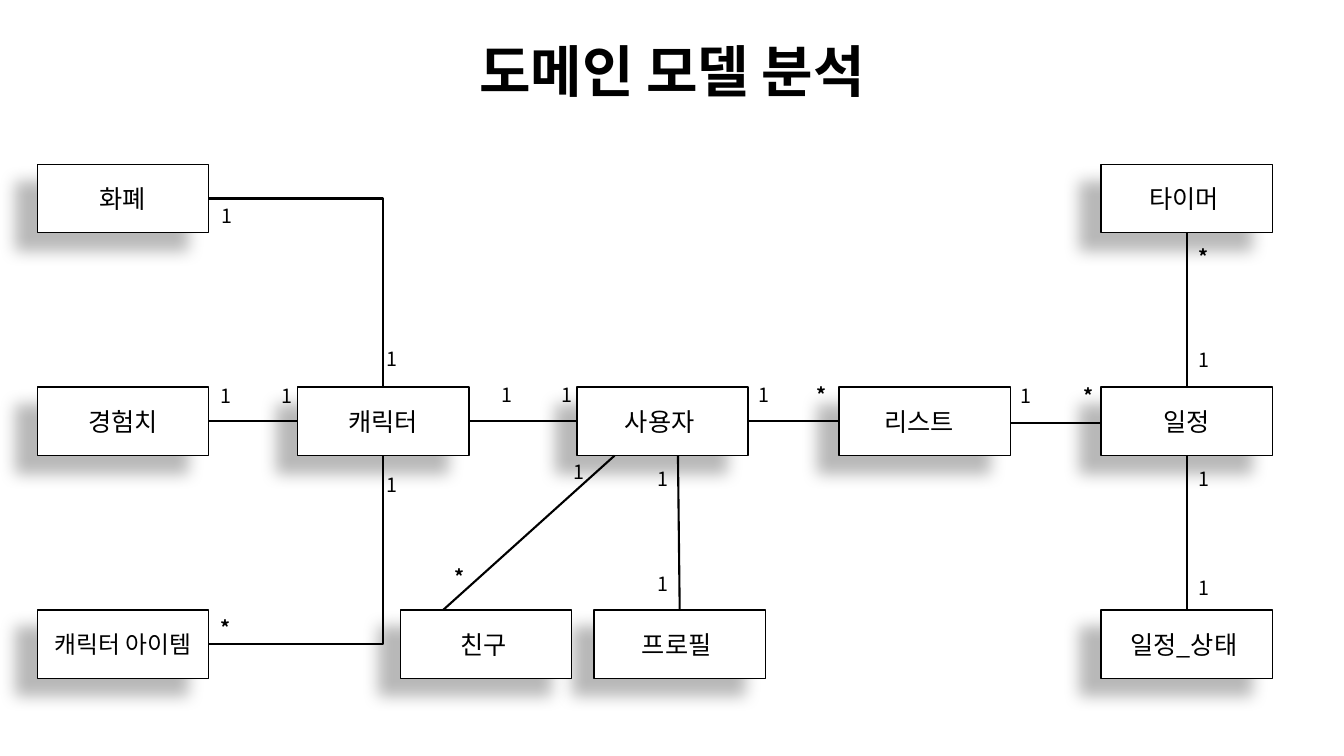
from lxml.etree import SubElement
from pptx import Presentation
from pptx.dml.color import RGBColor
from pptx.enum.shapes import MSO_CONNECTOR as Connector, MSO_SHAPE as Shape
from pptx.enum.text import MSO_ANCHOR as Anchor, MSO_AUTO_SIZE as AutoSize, PP_ALIGN as Align
from pptx.oxml.ns import qn
from pptx.util import Inches, Pt

COLORS = {"ink": "000000", "paper": "FFFFFF"}
FONT = "Noto Sans CJK KR"
TITLE_BOX = (0.32, 0.31, 12.69, 0.77)
DIAGRAM_BOX = (0.37, 1.63, 12.25, 5.1)
COLUMNS, ROWS, ROW_STEP = 7.21, 7.5, 3.25
SPACE_WIDTH = 4

ENTITIES = {
    "캐릭터": (1.52, 1, 18, 0),
    "프로필": (3.25, 2, 18, 1),
    "사용자": (3.15, 1, 18, 1),
    "리스트": (4.68, 1, 18, 2),
    "화폐": (0, 0, 18, 0),
    "경험치": (0, 1, 18, 0),
    "캐릭터 아이템": (0, 2, 17, 0),
    "일정": (6.21, 1, 18, 0),
    "타이머": (6.21, 0, 18, 1),
    "일정_상태": (6.21, 2, 18, 1),
    "친구": (2.12, 2, 18, 1),
}

LEFT, RIGHT, TOP, BOTTOM = (0, 0.5), (1, 0.5), (0.5, 0), (0.5, 1)

RELATIONS = [
    (("화폐", RIGHT, "1", (1.02, 0.5)), ("캐릭터", TOP, "1", (0.46, -0.66))),
    (("경험치", RIGHT, "1", (1.01, -0.12)), ("캐릭터", LEFT, "1", (-0.15, -0.12))),
    (("캐릭터 아이템", RIGHT, "*", (1.01, 0.01)), ("캐릭터", BOTTOM, "1", (0.46, 1.18))),
    (("캐릭터", RIGHT, "1", (1.13, -0.13)), ("사용자", LEFT, "1", (-0.15, -0.13))),
    (("사용자", RIGHT, "1", (1, -0.13)), ("리스트", LEFT, "*", (-0.19, -0.13))),
    (("리스트", (1, 0.53), "1", (1, -0.12)), ("일정", (0, 0.53), "*", (-0.16, -0.12))),
    (("일정", TOP, "1", (0.51, -0.65)), ("타이머", BOTTOM, "*", (0.51, 1.1))),
    (("일정", BOTTOM, "1", (0.51, 1.09)), ("일정_상태", TOP, "1", (0.51, -0.57))),
    (("사용자", (0.59, 1), "1", (0.41, 1.09)), ("프로필", TOP, "1", (0.31, -0.63))),
    (("사용자", (0.22, 1), "1", (-0.08, 0.99)), ("친구", (0.25, 0), "*", (0.26, -0.72))),
]


def color(name):
    return RGBColor.from_string(COLORS[name])


def inches(values):
    return [Inches(value) for value in values]


def point_on(box, share):
    left, top, width, height = box
    return left + share[0] * width, top + share[1] * height


def write(frame, text, size, align, bold=False):
    paragraph = frame.paragraphs[0]
    paragraph.alignment = align
    run = paragraph.add_run()
    run.text = text
    run.font.size, run.font.bold, run.font.name = Pt(size), bold, FONT
    run.font.color.rgb = color("ink")
    SubElement(run.font._element, qn("a:ea"), typeface=FONT)


def add_title(slide, box):
    title = slide.shapes.title
    title.left, title.top, title.width, title.height = inches(box)
    frame = title.text_frame
    frame.word_wrap = True
    frame.auto_size = AutoSize.SHAPE_TO_FIT_TEXT
    frame.vertical_anchor = Anchor.TOP
    write(frame, "도메인 모델 분석", 40, Align.CENTER, True)


def add_entity(slide, box, name, size, trailing_spaces):
    shape = slide.shapes.add_shape(Shape.RECTANGLE, *inches(box))
    shape.fill.solid()
    shape.fill.fore_color.rgb = color("paper")
    shape.line.color.rgb = color("ink")
    shape.line.width = Pt(1)
    shape.shadow.inherit = False
    effects = shape._element.spPr.find(qn("a:effectLst"))
    shadow = SubElement(effects, qn("a:outerShdw"), blurRad=str(Pt(11.8)),
                        dist=str(Pt(19.7)), dir=str(141 * 60000), rotWithShape="0")
    shade = SubElement(shadow, qn("a:srgbClr"), val=COLORS["ink"])
    SubElement(shade, qn("a:alpha"), val="28000")
    frame = shape.text_frame
    frame.word_wrap = True
    frame.vertical_anchor = Anchor.MIDDLE
    frame.margin_right = Inches(0.1) + Pt(SPACE_WIDTH * trailing_spaces)
    write(frame, name, size, Align.CENTER)


def add_relation(slide, start, end):
    bent = start[0] != end[0] and start[1] != end[1] and start[0] < 3
    kind = Connector.ELBOW if bent else Connector.STRAIGHT
    connector = slide.shapes.add_connector(kind, *inches(start + end))
    connector.line.color.rgb = color("ink")
    connector.line.width = Pt(1.5)
    properties = connector._element.spPr
    if bent:
        properties.find(qn("a:prstGeom")).set("prst", "bentConnector2")
    SubElement(properties, qn("a:effectLst"))


def add_multiplicity(slide, corner, text):
    label = slide.shapes.add_textbox(*inches(corner + (0.31, 0.34)))
    frame = label.text_frame
    frame.word_wrap = True
    frame.auto_size = AutoSize.SHAPE_TO_FIT_TEXT
    write(frame, text, 14, Align.LEFT, text == "*")


def add_diagram(slide, box):
    left, top, width, height = box
    cell_width, cell_height = width / COLUMNS, height / ROWS
    boxes = {}
    for name, (column, row, size, trailing_spaces) in ENTITIES.items():
        boxes[name] = (left + column * cell_width, top + row * ROW_STEP * cell_height,
                       cell_width, cell_height)
        add_entity(slide, boxes[name], name, size, trailing_spaces)
    for ends in RELATIONS:
        add_relation(slide, *[point_on(boxes[name], side) for name, side, _, _ in ends])
        for name, _, text, corner in ends:
            add_multiplicity(slide, point_on(boxes[name], corner), text)


presentation = Presentation()
presentation.slide_width, presentation.slide_height = Inches(13.33), Inches(7.5)
slide = presentation.slides.add_slide(presentation.slide_layouts[5])
add_title(slide, TITLE_BOX)
add_diagram(slide, DIAGRAM_BOX)
presentation.save("out.pptx")
